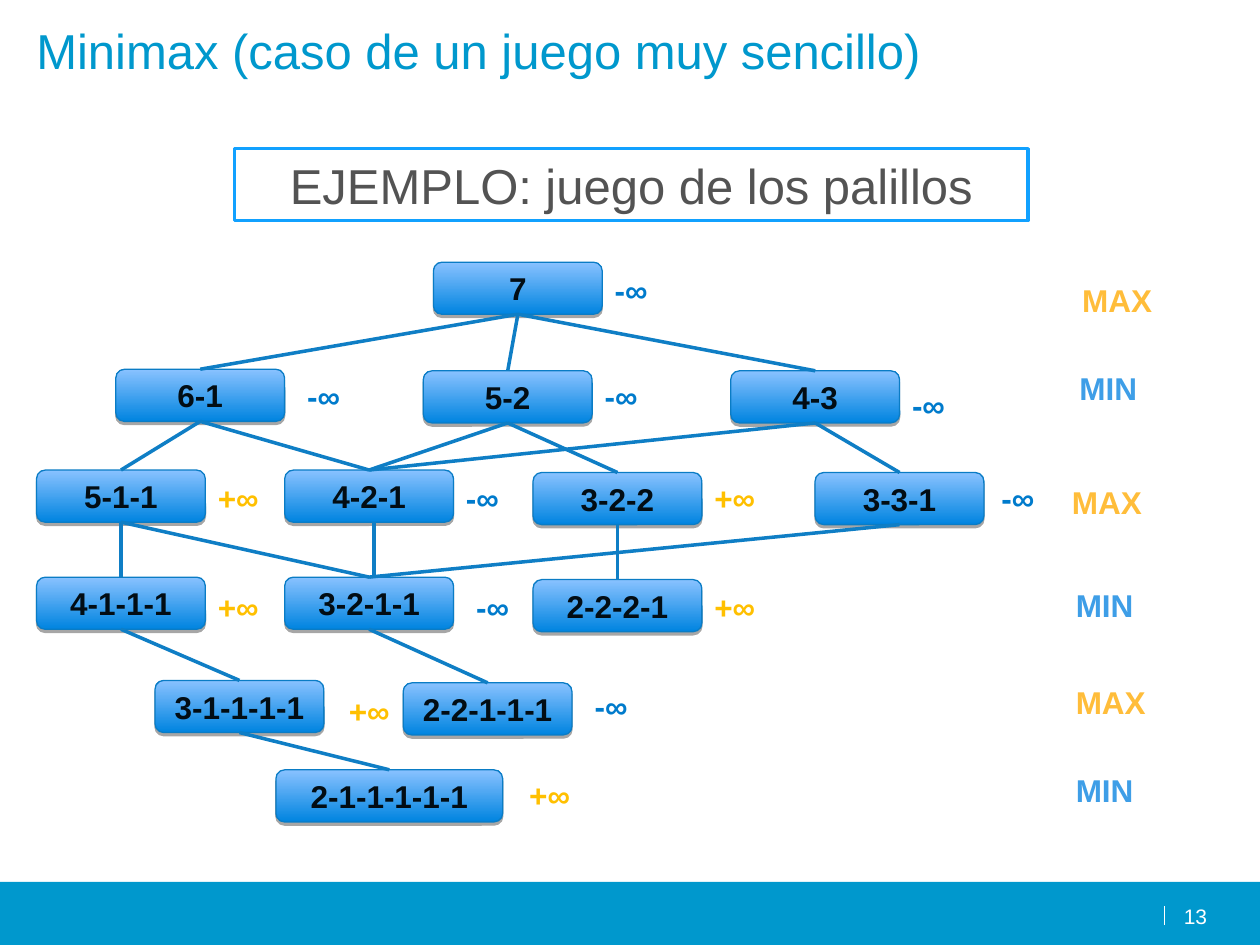
from lxml.etree import SubElement
from pptx import Presentation
from pptx.dml.color import RGBColor
from pptx.enum.shapes import MSO_CONNECTOR as Connector, MSO_SHAPE as Preset
from pptx.enum.text import MSO_ANCHOR as Anchor, PP_ALIGN as Align
from pptx.oxml.ns import qn
from pptx.util import Pt

COLORS = {
    "brand": "0098CD", "white": "FFFFFF", "frame": "11A1FF", "text": "535353",
    "node_bottom": "0084E0", "node_top": "89C2FF", "node_line": "0A7CC5",
    "node_text": "020D14", "edge": "0F7EC5", "shadow": "000000",
    "MAX": "FFBD3A", "MIN": "3E9EE7", "+∞": "FFC000", "-∞": "007BCC",
}
TITLE = "Minimax (caso de un juego muy sencillo)"
EXAMPLE = "EJEMPLO: juego de los palillos"
PAGE = "13"

NODE_WIDTH, WIDE_NODE_WIDTH, NODE_HEIGHT = 96.5, 129.6, 29.8
LABEL_HEIGHT = 28.8

# state: left, top, value, then the value's gap to the right and drop
NODES = {
    "7": (247.7, 149.8, "-∞", 0, 1.4),
    "6-1": (66.2, 211, "-∞", 5.8, 0.7),
    "5-2": (241.9, 211.9, "-∞", 0, 0),
    "4-3": (417.6, 211.9, "-∞", 0, 5),
    "5-1-1": (20.9, 268.6, "+∞", 0, 1.4),
    "4-2-1": (162.7, 268.6, "-∞", 0, 1.4),
    "3-2-2": (304.6, 270, "+∞", 0, 0),
    "3-3-1": (465.8, 270, "-∞", 2.9, 0),
    "4-1-1-1": (20.9, 329.8, "+∞", 0, 2.9),
    "3-2-1-1": (162.7, 329.8, "-∞", 5.8, 2.9),
    "2-2-2-1": (304.6, 331.2, "+∞", 0, 1.4),
    "3-1-1-1-1": (88.6, 388.8, "+∞", 7.2, 2.9),
    "2-2-1-1-1": (230.4, 390.2, "-∞", 5.8, -1.4),
    "2-1-1-1-1-1": (157.7, 439.9, "+∞", 8, 0),
}
MOVES = {
    "7": ["6-1", "5-2", "4-3"],
    "6-1": ["5-1-1", "4-2-1"],
    "5-2": ["4-2-1", "3-2-2"],
    "4-3": ["3-3-1", "4-2-1"],
    "5-1-1": ["4-1-1-1", "3-2-1-1"],
    "3-2-2": ["2-2-2-1"],
    "3-3-1": ["3-2-1-1"],
    "4-1-1-1": ["3-1-1-1-1"],
    "3-2-1-1": ["2-2-1-1-1"],
    "3-1-1-1-1": ["2-1-1-1-1-1"],
}
OFFSET_MOVE = (213.8, 298.4, 213.8, 329.8)  # 4-2-1 to 3-2-1-1, right of centre
LEVELS = [
    ("MAX", 611.3, 157), ("MIN", 609.8, 207.4), ("MAX", 605.5, 272.2),
    ("MIN", 607.7, 331.2), ("MAX", 607.7, 386.6), ("MIN", 607.7, 437),
]


def color(name):
    return RGBColor.from_string(COLORS[name])


def write(shape, text, size, color_name, bold=False, align=Align.LEFT,
          anchor=Anchor.TOP, insets=(7.2, 3.6)):
    frame = shape.text_frame
    frame.text = text
    frame.word_wrap = True
    frame.vertical_anchor = anchor
    frame.margin_left = frame.margin_right = Pt(insets[0])
    frame.margin_top = frame.margin_bottom = Pt(insets[1])
    paragraph = frame.paragraphs[0]
    paragraph.alignment = align
    font = paragraph.runs[0].font
    font.name, font.size, font.bold = "Arial", Pt(size), bold
    font.color.rgb = color(color_name)


def add_text(slide, box, *args, **options):
    shape = slide.shapes.add_textbox(*map(Pt, box))
    write(shape, *args, **options)


def add_box(slide, preset, box, fill, line=None, width=0):
    shape = slide.shapes.add_shape(preset, *map(Pt, box))
    shape.shadow.inherit = False
    if fill:
        shape.fill.solid()
        shape.fill.fore_color.rgb = color(fill)
    if line:
        shape.line.color.rgb = color(line)
        shape.line.width = Pt(width)
    else:
        shape.line.fill.background()
    return shape


def add_line(slide, ends, color_name, width):
    line = slide.shapes.add_connector(Connector.STRAIGHT, *map(Pt, ends))
    line.line.color.rgb = color(color_name)
    line.line.width = Pt(width)
    SubElement(line._element.spPr, qn("a:effectLst"))
    return line


def add_drop_shadow(shape):
    effects = shape._element.spPr.find(qn("a:effectLst"))
    shadow = SubElement(effects, qn("a:outerShdw"), blurRad="0",
                        dist=str(Pt(1.8)), dir="5400000", rotWithShape="0")
    shade = SubElement(shadow, qn("a:srgbClr"), val=COLORS["shadow"])
    SubElement(shade, qn("a:alpha"), val="35000")


def node_width(state):
    return WIDE_NODE_WIDTH if len(state) > 9 else NODE_WIDTH


def add_node(slide, state, left, top):
    box = (left, top, node_width(state), NODE_HEIGHT)
    node = add_box(slide, Preset.ROUNDED_RECTANGLE, box, None, "node_line", 0.75)
    node.fill.gradient()
    node.fill.gradient_angle = 90
    for stop, name in zip(node.fill.gradient_stops, ("node_bottom", "node_top")):
        stop.color.rgb = color(name)
    add_drop_shadow(node)
    write(node, state, 18, "node_text", True, Align.CENTER, Anchor.MIDDLE)
    return node


def main():
    presentation = Presentation()
    presentation.slide_width, presentation.slide_height = Pt(720), Pt(540)
    slide = presentation.slides.add_slide(presentation.slide_layouts[6])

    add_box(slide, Preset.RECTANGLE, (0, 504, 720, 36), "brand")
    add_line(slide, (665.3, 528.5, 665.3, 517.7), "white", 0.75)
    add_text(slide, (668.2, 516.2, 21.6, 13.7), PAGE, 12, "white",
             align=Align.RIGHT, insets=(0, 0))

    nodes = {state: add_node(slide, state, left, top)
             for state, (left, top, *_) in NODES.items()}
    for state, followers in MOVES.items():
        for follower in followers:
            edge = add_line(slide, (0, 0, 0, 0), "edge", 2)
            edge.begin_connect(nodes[state], 2)
            edge.end_connect(nodes[follower], 0)
    add_line(slide, OFFSET_MOVE, "edge", 2)

    for state, (left, top, value, gap, drop) in NODES.items():
        box = (left + node_width(state) + gap, top + drop, 45, LABEL_HEIGHT)
        add_text(slide, box, value, 18, value, True)
    for player, left, top in LEVELS:
        add_text(slide, (left, top, 64.8, LABEL_HEIGHT), player, 18, player, True)

    add_text(slide, (13.7, 7.9, 648, 90), TITLE, 28, "brand")
    example = add_box(slide, Preset.RECTANGLE, (133.9, 85, 453.6, 41),
                      "white", "frame", 2)
    write(example, EXAMPLE, 28, "text", align=Align.CENTER,
          anchor=Anchor.MIDDLE, insets=(3.6, 3.6))

    presentation.save("out.pptx")


if __name__ == "__main__":
    main()
